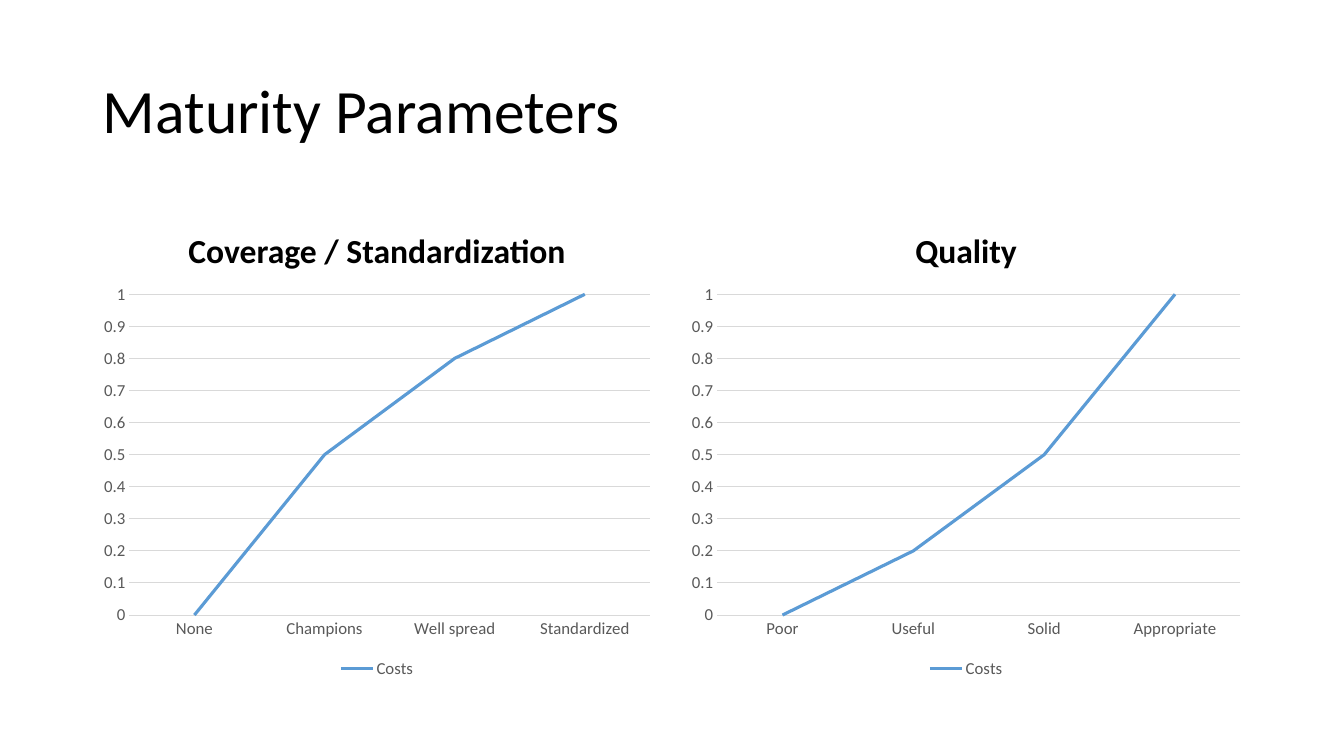
from dataclasses import dataclass

import pptx
import pptx.chart.data
import pptx.dml.color
import pptx.enum.chart
import pptx.enum.text
import pptx.util

Pt = pptx.util.Pt
FONT = "Calibri"
BLACK, GRAY, GRID, BLUE = "000000", "595959", "D9D9D9", "5B9BD5"


@dataclass
class Panel:
    heading_idx: int
    content_idx: int
    left: float
    width: float
    heading: str
    categories: tuple[str, ...]
    values: tuple[float, ...]


PANELS = [
    Panel(1, 2, 66.24, 406.08, "Coverage / Standardization",
          ("None", "Champions", "Well spread", "Standardized"), (0, 0.5, 0.8, 1)),
    Panel(3, 4, 486, 408.24, "Quality",
          ("Poor", "Useful", "Solid", "Appropriate"), (0, 0.2, 0.5, 1)),
]


def rgb(value: str) -> pptx.dml.color.RGBColor:
    return pptx.dml.color.RGBColor.from_string(value)


def style_font(font, size: float, color: str, bold: bool = False) -> None:
    font.name = FONT
    font.size = Pt(size)
    font.bold = bold
    font.color.rgb = rgb(color)


def style_line(line, color: str, width: float) -> None:
    line.color.rgb = rgb(color)
    line.width = Pt(width)


def fill_placeholder(sp, box: tuple[float, ...], text: str, size: float, bold: bool,
                     align, anchor, space_before: float) -> None:
    sp.left, sp.top, sp.width, sp.height = map(Pt, box)
    tf = sp.text_frame
    tf.word_wrap = True
    tf.auto_size = pptx.enum.text.MSO_AUTO_SIZE.NONE
    tf.vertical_anchor = anchor
    p = tf.paragraphs[0]
    p.alignment = align
    p.line_spacing = 0.9
    p.space_before = Pt(space_before)
    r = p.add_run()
    r.text = text
    style_font(r.font, size, BLACK, bold)


def add_line_chart(s, panel: Panel) -> None:
    data = pptx.chart.data.CategoryChartData()
    data.categories = panel.categories
    data.add_series("Costs", panel.values)
    chart = s.shapes.add_chart(pptx.enum.chart.XL_CHART_TYPE.LINE, Pt(panel.left),
                               Pt(197.28), Pt(panel.width), Pt(290.16), data).chart
    style_font(chart.font, 10, BLACK)
    chart.has_title = False
    chart.has_legend = True
    chart.legend.position = pptx.enum.chart.XL_LEGEND_POSITION.BOTTOM
    chart.legend.include_in_layout = False
    style_font(chart.legend.font, 12, GRAY)

    for axis in (chart.category_axis, chart.value_axis):
        axis.major_tick_mark = axis.minor_tick_mark = pptx.enum.chart.XL_TICK_MARK.NONE
        style_font(axis.tick_labels.font, 12, GRAY)
    style_line(chart.category_axis.format.line, GRID, 0.75)
    value_axis = chart.value_axis
    value_axis.minimum_scale, value_axis.maximum_scale = 0, 1
    value_axis.major_unit = 0.1
    value_axis.format.line.fill.background()
    value_axis.has_major_gridlines = True
    style_line(value_axis.major_gridlines.format.line, GRID, 0.75)

    plot = chart.plots[0]
    plot.vary_by_categories = False
    series = plot.series[0]
    series.smooth = False
    series.marker.style = pptx.enum.chart.XL_MARKER_STYLE.NONE
    style_line(series.format.line, BLUE, 2.25)


def main() -> None:
    align = pptx.enum.text.PP_ALIGN
    anchor = pptx.enum.text.MSO_ANCHOR
    prs = pptx.Presentation()
    prs.slide_width, prs.slide_height = Pt(960), Pt(540)
    s = prs.slides.add_slide(prs.slide_layouts.get_by_name("Comparison"))
    fill_placeholder(s.shapes.title, (66.24, 28.8, 828, 104.4), "Maturity Parameters",
                     44, False, align.LEFT, anchor.MIDDLE, 0)
    holders = {sp.placeholder_format.idx: sp for sp in s.placeholders}
    for panel in PANELS:
        fill_placeholder(holders[panel.heading_idx],
                         (panel.left, 132.48, panel.width, 64.8), panel.heading,
                         24, True, align.CENTER, anchor.BOTTOM, 10)
        content = holders[panel.content_idx].element
        content.getparent().remove(content)
        add_line_chart(s, panel)
    prs.save("out.pptx")


if __name__ == "__main__":
    main()
